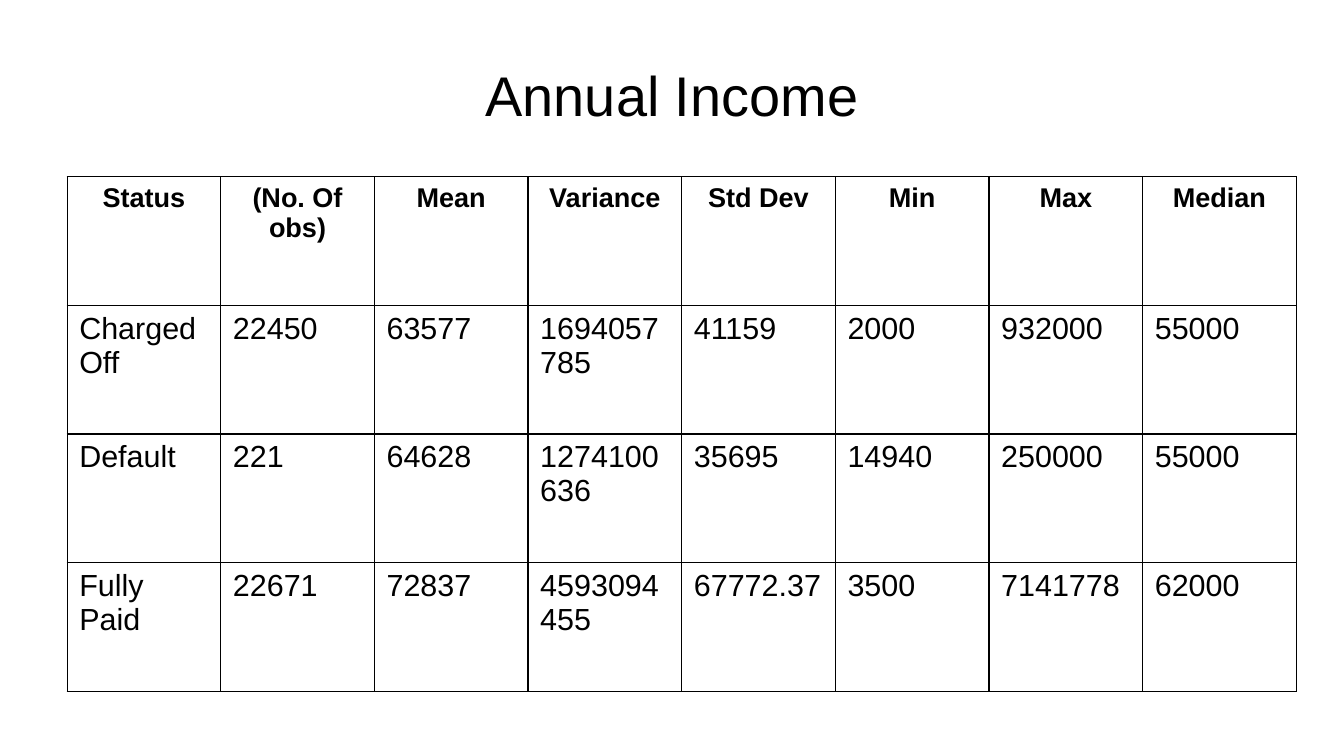
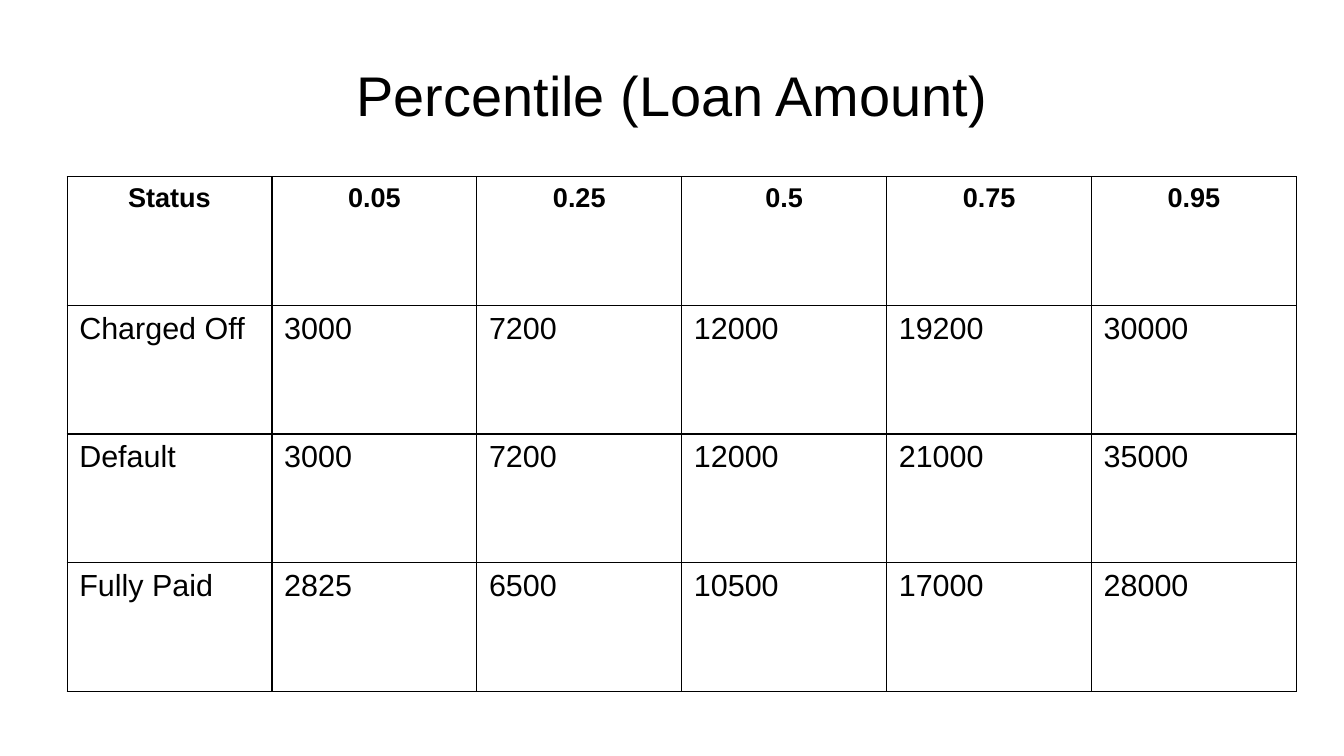
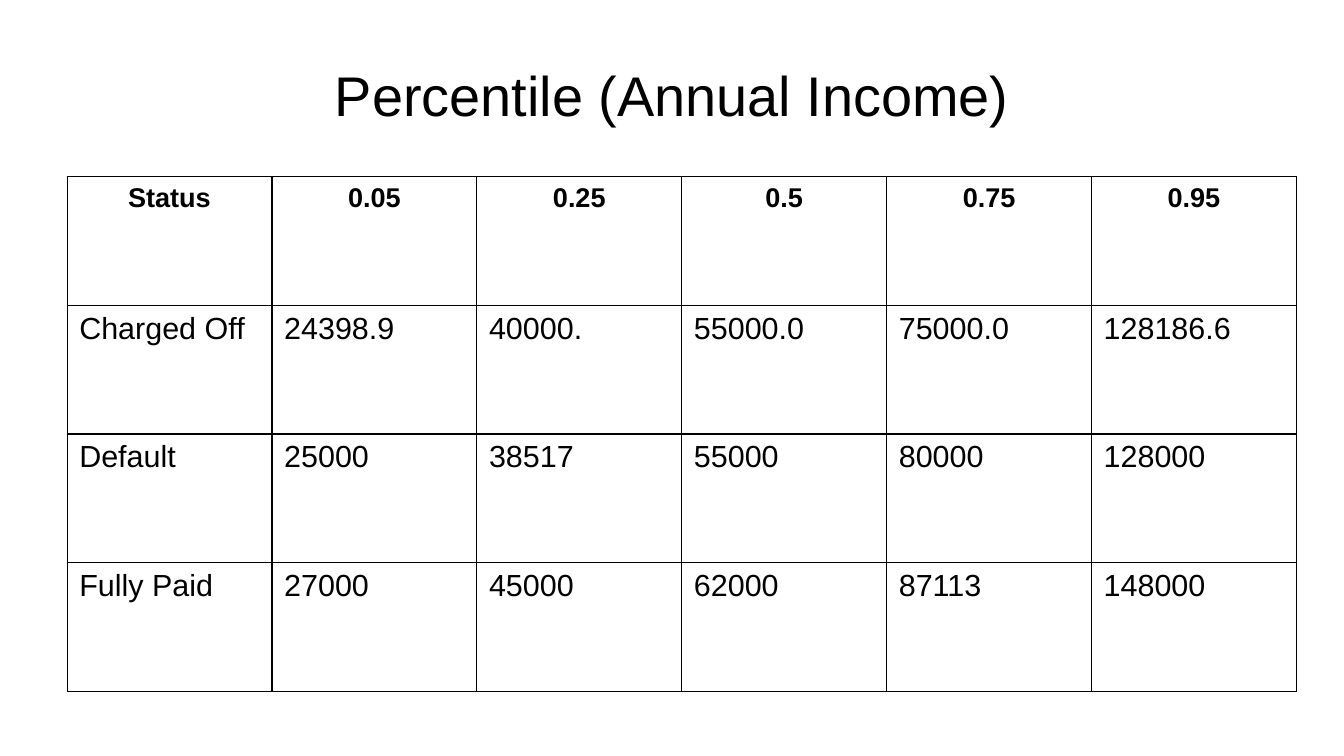
import pptx
import pptx.util
import pptx.dml.color
import pptx.enum.text
import pptx.oxml
import pptx.oxml.ns

Pt = pptx.util.Pt
CENTER = pptx.enum.text.PP_ALIGN.CENTER
LEFT = pptx.enum.text.PP_ALIGN.LEFT

BLACK = "000000"
TITLE = {"name": "Arial", "size": Pt(33), "bold": False}
HEADER = {"name": "Arial", "size": Pt(16), "bold": True}
BODY = {"name": "Arial", "size": Pt(18), "bold": False}

MARGIN = 39.6
TABLE_TOP, TABLE_WIDTH, TABLE_HEIGHT = 104.4, 725.76, 303.84
BORDER = 0.75

PERCENTILES = ["Status", "0.05", "0.25", "0.5", "0.75", "0.95"]
SLIDES = [
    ("Annual Income", [
        ["Status", "(No. Of obs)", "Mean", "Variance", "Std Dev", "Min", "Max", "Median"],
        ["Charged Off", "22450", "63577", "1694057785", "41159", "2000", "932000", "55000"],
        ["Default", "221", "64628", "1274100636", "35695", "14940", "250000", "55000"],
        ["Fully Paid", "22671", "72837", "4593094455", "67772.37", "3500", "7141778", "62000"],
    ]),
    ("Percentile (Loan Amount)", [
        PERCENTILES,
        ["Charged Off", "3000", "7200", "12000", "19200", "30000"],
        ["Default", "3000", "7200", "12000", "21000", "35000"],
        ["Fully Paid", "2825", "6500", "10500", "17000", "28000"],
    ]),
    ("Percentile (Annual Income)", [
        PERCENTILES,
        ["Charged Off", "24398.9", "40000.", "55000.0", "75000.0", "128186.6"],
        ["Default", "25000", "38517", "55000", "80000", "128000"],
        ["Fully Paid", "27000", "45000", "62000", "87113", "148000"],
    ]),
]


def write(tf, text, font, align, color=BLACK):
    p = tf.paragraphs[0]
    p.alignment = align
    r = p.add_run()
    r.text = text
    for key, value in font.items():
        setattr(r.font, key, value)
    r.font.color.rgb = pptx.dml.color.RGBColor.from_string(color)


def add_borders(cell, color=BLACK):
    tcPr = cell._tc.get_or_add_tcPr()
    for side in ("lnL", "lnR", "lnT", "lnB"):
        tcPr.append(pptx.oxml.parse_xml(
            f'<a:{side} {pptx.oxml.ns.nsdecls("a")} w="{Pt(BORDER)}"><a:solidFill>'
            f'<a:srgbClr val="{color}"/></a:solidFill></a:{side}>'))


prs = pptx.Presentation()
prs.slide_width, prs.slide_height = Pt(793.44), Pt(446.4)

for title, rows in SLIDES:
    s = prs.slides.add_slide(prs.slide_layouts[6])

    tf = s.shapes.add_textbox(Pt(MARGIN), Pt(18), Pt(714.24), Pt(74.88)).text_frame
    tf.word_wrap = True
    tf.vertical_anchor = pptx.enum.text.MSO_ANCHOR.MIDDLE
    for side in ("left", "right", "top", "bottom"):
        setattr(tf, f"margin_{side}", 0)
    write(tf, title, TITLE, CENTER)

    table = s.shapes.add_table(len(rows), len(rows[0]), Pt(MARGIN), Pt(TABLE_TOP),
                               Pt(TABLE_WIDTH), Pt(TABLE_HEIGHT)).table
    table.first_row = table.horz_banding = False
    for i, row in enumerate(rows):
        font, align = (HEADER, CENTER) if i == 0 else (BODY, LEFT)
        for j, text in enumerate(row):
            cell = table.cell(i, j)
            add_borders(cell)
            cell.fill.background()
            write(cell.text_frame, text, font, align)

prs.save("out.pptx")
